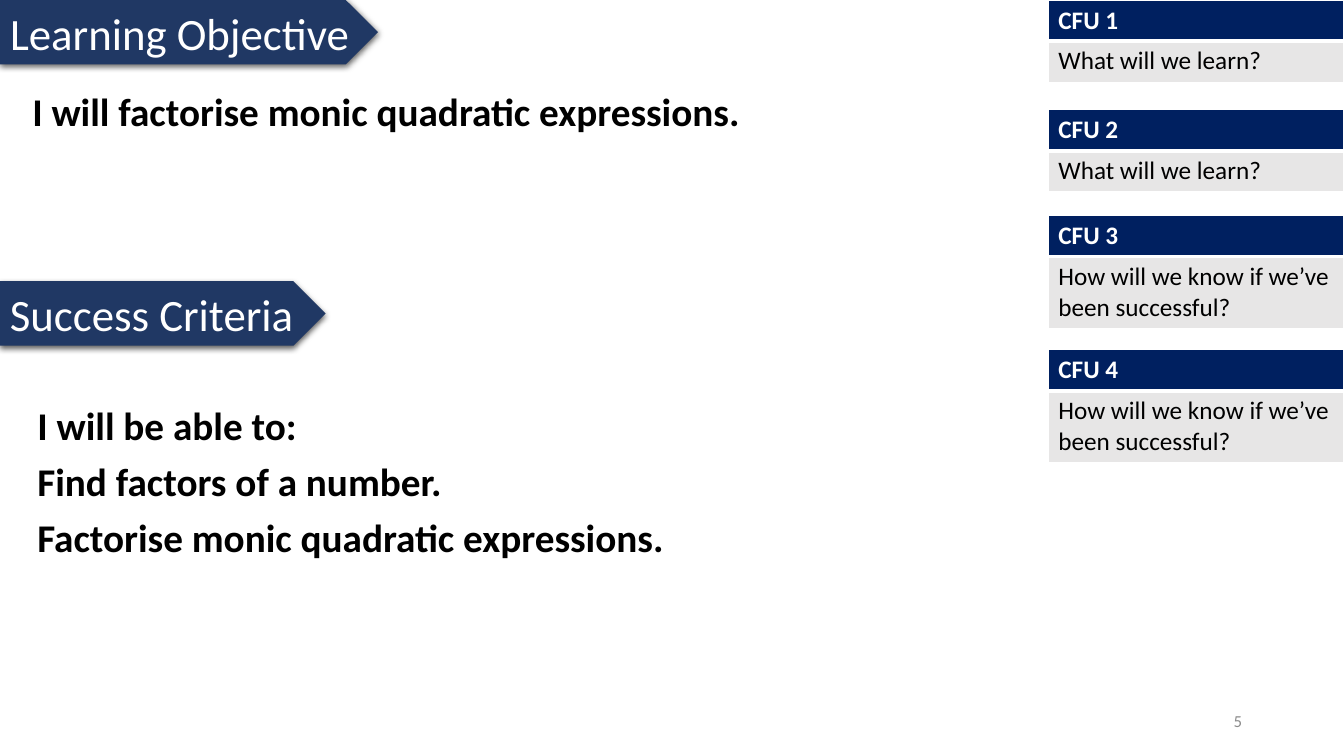
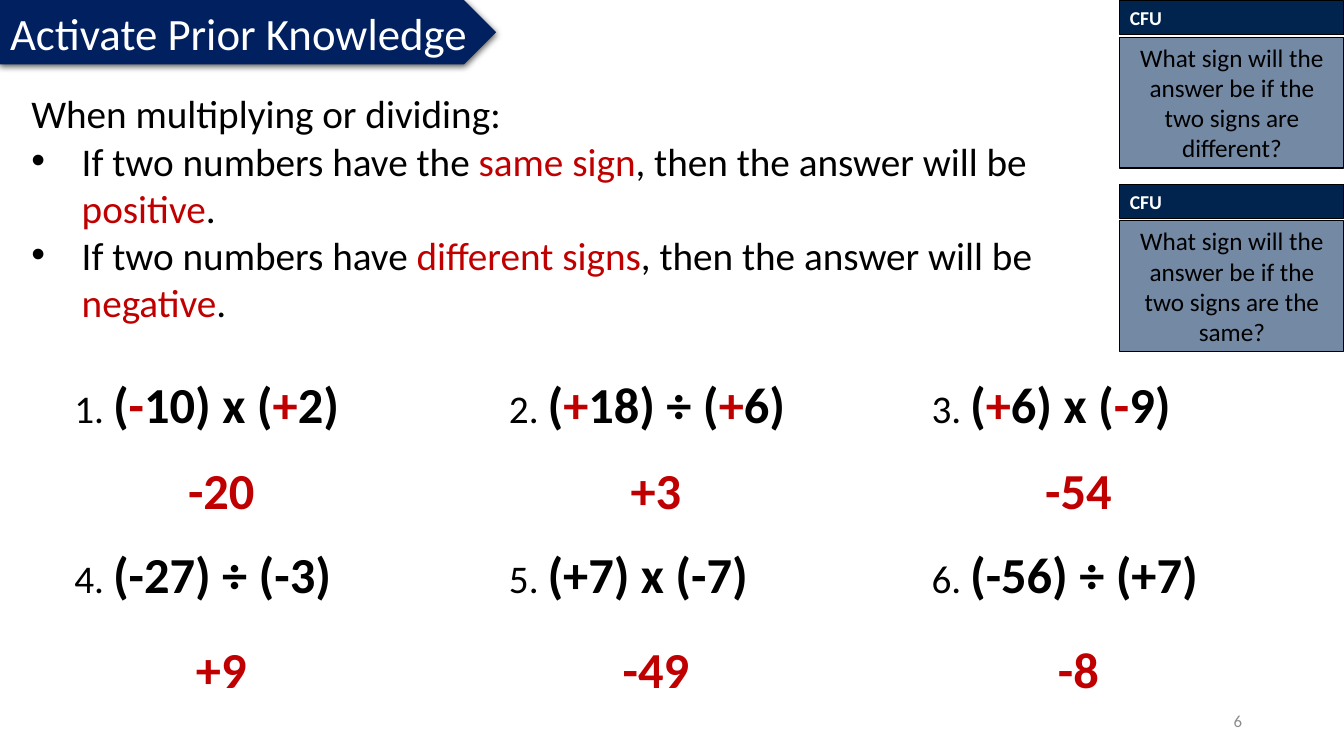
from dataclasses import dataclass

from lxml import etree
from pptx import Presentation, util as u
from pptx.dml.color import RGBColor
from pptx.enum import shapes as s, text as t
from pptx.oxml.ns import qn


@dataclass(frozen=True)
class Theme:
    font: str = "Calibri"
    ink: str = "000000"
    paper: str = "FFFFFF"
    red: str = "C00000"
    slate: str = "203864"
    navy: str = "002060"
    deep: str = "01244E"
    steel: str = "163B68"
    pale: str = "E7E6E6"
    grey: str = "8C8C8C"
    head: int = 32
    main: int = 28
    sum: int = 36
    side: int = 18
    tag: int = 14
    foot: int = 12


T = Theme()
WIDE, HIGH = u.Inches(13.33), u.Inches(7.5)
MID, TOP = t.MSO_ANCHOR.MIDDLE, t.MSO_ANCHOR.TOP
LEFT, CENTER, RIGHT = t.PP_ALIGN.LEFT, t.PP_ALIGN.CENTER, t.PP_ALIGN.RIGHT


def area(x, y, w, h):
    """Turn percentages of the slide into lengths."""
    return [int(share * side / 100)
            for share, side in zip((x, y, w, h), (WIDE, HIGH, WIDE, HIGH))]


def move(shape, *box):
    shape.left, shape.top, shape.width, shape.height = area(*box)
    return shape


def node(parent, tag, **attrs):
    return etree.SubElement(parent, qn(tag), {k: str(v) for k, v in attrs.items()})


def paint(fill, color):
    fill.solid()
    fill.fore_color.rgb = RGBColor.from_string(color)


def write(frame, paras, size=T.main, color=T.ink, bold=False, align=LEFT,
          anchor=TOP, gap=0, line=1.0, dots=()):
    """Fill a frame; *stars* mark red words, dots lists the bulleted rows.

    A paragraph is a string or a list of (string, size, bold) parts.
    """
    frame.word_wrap = True
    frame.auto_size = t.MSO_AUTO_SIZE.NONE
    frame.vertical_anchor = anchor
    for row, parts in enumerate(paras):
        para = frame.add_paragraph() if row else frame.paragraphs[0]
        props = para._p.get_or_add_pPr()
        indent = u.Inches(0.5) if row in dots else 0
        props.set("marL", str(indent))
        props.set("indent", str(-indent))
        if indent:
            node(props, "a:buFont", typeface="Arial")
            node(props, "a:buChar", char="•")
        else:
            node(props, "a:buNone")
        para.alignment = align
        para.line_spacing = line
        para.space_before = u.Pt(gap if row else 0)
        if isinstance(parts, str):
            parts = [(parts, size, bold)]
        for words, points, heavy in parts:
            for turn, piece in enumerate(words.split("*")):
                if piece:
                    run = para.add_run()
                    run.text = piece
                    font = run.font
                    font.name, font.size, font.bold = T.font, u.Pt(points), heavy
                    font.color.rgb = RGBColor.from_string(T.red if turn % 2 else color)


def label(slide, box, paras, **form):
    write(slide.shapes.add_textbox(*area(*box)).text_frame, paras, **form)


def banner(slide, words, y, w, color, title=None):
    """Draw an arrow band; its words go in the title placeholder if given."""
    box = (0, y, w, 8.53)
    band = slide.shapes.add_shape(s.MSO_SHAPE.PENTAGON, *area(*box))
    paint(band.fill, color)
    band.line.fill.background()
    band.shadow.inherit = False
    glow = node(band._element.spPr.find(qn("a:effectLst")), "a:outerShdw",
                blurRad=u.Pt(4.5), dist=u.Pt(1.5), dir=5400000, rotWithShape=0)
    node(node(glow, "a:srgbClr", val=T.ink), "a:alpha", val=63000)
    if title is not None:
        move(title, *box)
        slide.shapes._spTree.append(title._element)
    holder = band if title is None else title
    frame = holder.text_frame
    frame.margin_left, frame.margin_right = u.Inches(0.1), 0
    write(frame, [words], size=T.head, color=T.paper, anchor=MID)


def check(slide, y, name, ask):
    """Add a two-row table with a question for the class."""
    rows = (5.2, 5.47)
    grid = slide.shapes.add_table(2, 1, *area(78, y, 22, sum(rows))).table
    grid.horz_banding = False
    looks = ((name, T.navy, T.paper, True), (ask, T.pale, T.ink, False))
    for row, (words, fill, color, bold) in enumerate(looks):
        grid.rows[row].height = int(HIGH * rows[row] / 100)
        cell = grid.cell(row, 0)
        props = cell._tc.get_or_add_tcPr()
        for side in "LRTB":
            thick = 3 if (row, side) in ((0, "B"), (1, "T")) else 1
            edge = node(props, "a:ln" + side, w=u.Pt(thick))
            node(node(edge, "a:solidFill"), "a:srgbClr", val=T.paper)
        paint(cell.fill, fill)
        write(cell.text_frame, [words], size=T.side, color=color, bold=bold)


def panel(slide, y, ask):
    """Add a grouped tag and tinted question box."""
    group = slide.shapes.add_group_shape()
    looks = ((y, 4.53, T.deep, "CFU",
              dict(size=T.tag, color=T.paper, bold=True)),
             (y + 4.8, 17.33, T.steel, ask, dict(size=T.side, align=CENTER)))
    for top, tall, fill, words, form in looks:
        box = group.shapes.add_shape(s.MSO_SHAPE.RECTANGLE,
                                     *area(83.33, top, 16.67, tall))
        box.shadow.inherit = False
        paint(box.fill, fill)
        if fill == T.steel:
            tint = box._element.spPr.find(qn("a:solidFill"))[0]
            node(tint, "a:alpha", val=60000)
        paint(box.line.fill, T.ink)
        box.line.width = u.Pt(0.75)
        write(box.text_frame, [words], anchor=MID, **form)


def number(slide, value):
    label(slide, (70.67, 92.67, 22.5, 5.33), [str(value)],
          size=T.foot, color=T.grey, align=RIGHT, anchor=MID)


def goals(deck):
    slide = deck.slides.add_slide(deck.slide_layouts[3])
    title, aim, steps = slide.placeholders
    banner(slide, "Learning Objective", 0, 28.13, T.slate, title)
    banner(slide, "Success Criteria", 37.2, 24.23, T.slate)
    learn = "What will we learn?"
    know = "How will we know if we’ve been successful?"
    asks = ((0, learn), (14.53, learn), (28.53, know), (46.27, know))
    for count, (y, ask) in enumerate(asks, 1):
        check(slide, y, f"CFU {count}", ask)
    form = dict(bold=True, gap=10, line=0.9)
    write(move(aim, 1.65, 11.6, 72.77, 33.3).text_frame,
          ["I will factorise monic quadratic expressions."], **form)
    write(move(steps, 2.03, 53.07, 71.94, 36.4).text_frame,
          ["I will be able to:", "Find factors of a number.",
           "Factorise monic quadratic expressions."], **form)
    number(slide, 5)


def review(deck):
    slide = deck.slides.add_slide(deck.slide_layouts[1])
    title, rules = slide.placeholders
    banner(slide, "Activate Prior Knowledge", 0, 36.91, T.navy, title)
    write(move(rules, 1.58, 11.2, 78, 32.8).text_frame, [
        "When multiplying or dividing:",
        "If two numbers have the *same sign*, then the answer will be *positive*.",
        "If two numbers have *different signs*, then the answer will be *negative*.",
    ], dots=(1, 2))
    for row, kind in enumerate(("different", "the same")):
        panel(slide, 0.1 + 24.27 * row,
              f"What sign will the answer be if the two signs are {kind}?")
    cols = (4.8, 37.13, 68.57)
    rows = ((48.67, 60.13), (71.2, 83.73))
    sums = (("(*-*10) x (*+*2)", "-20"), ("(*+*18) ÷ (*+*6)", "+3"),
            ("(*+*6) x (*-*9)", "-54"), ("(-27) ÷ (-3)", "+9"),
            ("(+7) x (-7)", "-49"), ("(-56) ÷ (+7)", "-8"))
    for spot, (task, answer) in enumerate(sums):
        x = cols[spot % 3]
        high, low = rows[spot // 3]
        label(slide, (x, high, 23.33, 9.47),
              [[(f"{spot + 1}. ", T.main, False), (task, T.sum, True)]])
        label(slide, (x, low, 23.33, 9.47), [answer],
              size=T.sum, color=T.red, bold=True, align=CENTER)
    number(slide, 6)


def main():
    deck = Presentation()
    deck.slide_width, deck.slide_height = WIDE, HIGH
    goals(deck)
    review(deck)
    deck.save("out.pptx")


if __name__ == "__main__":
    main()
